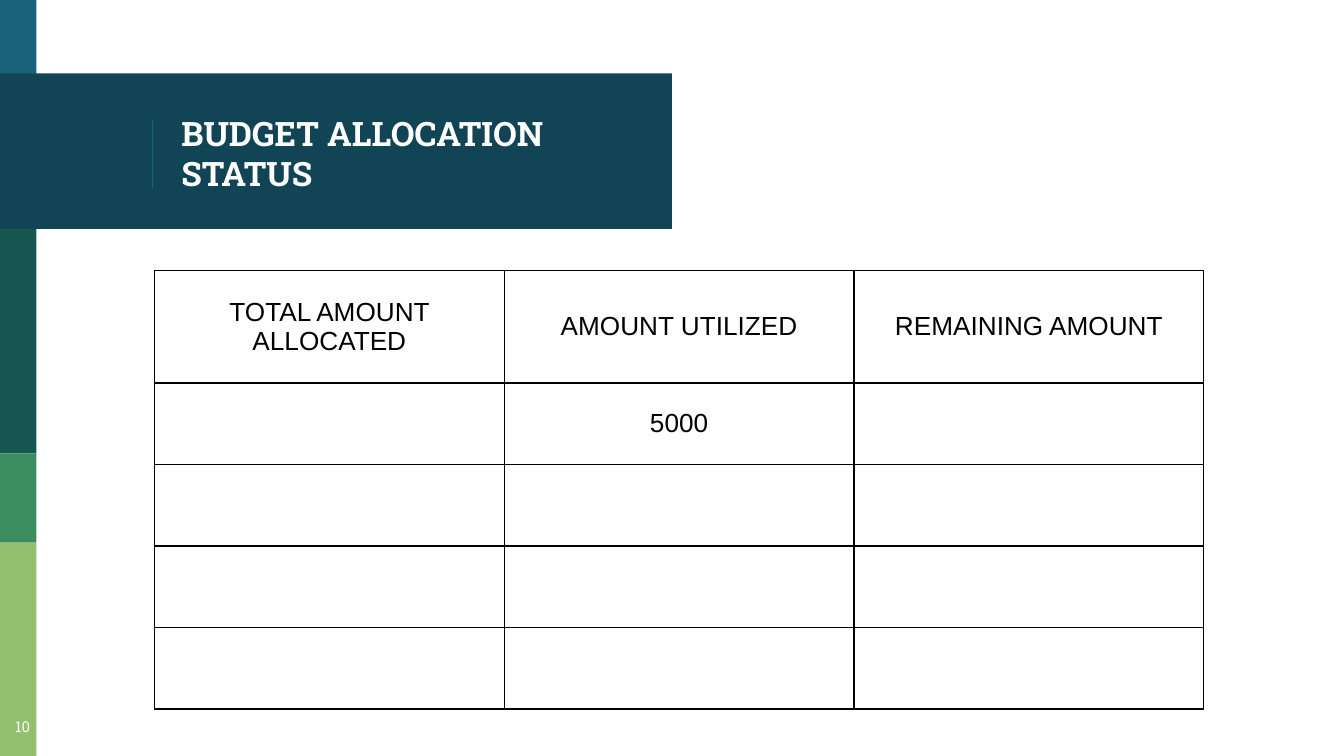
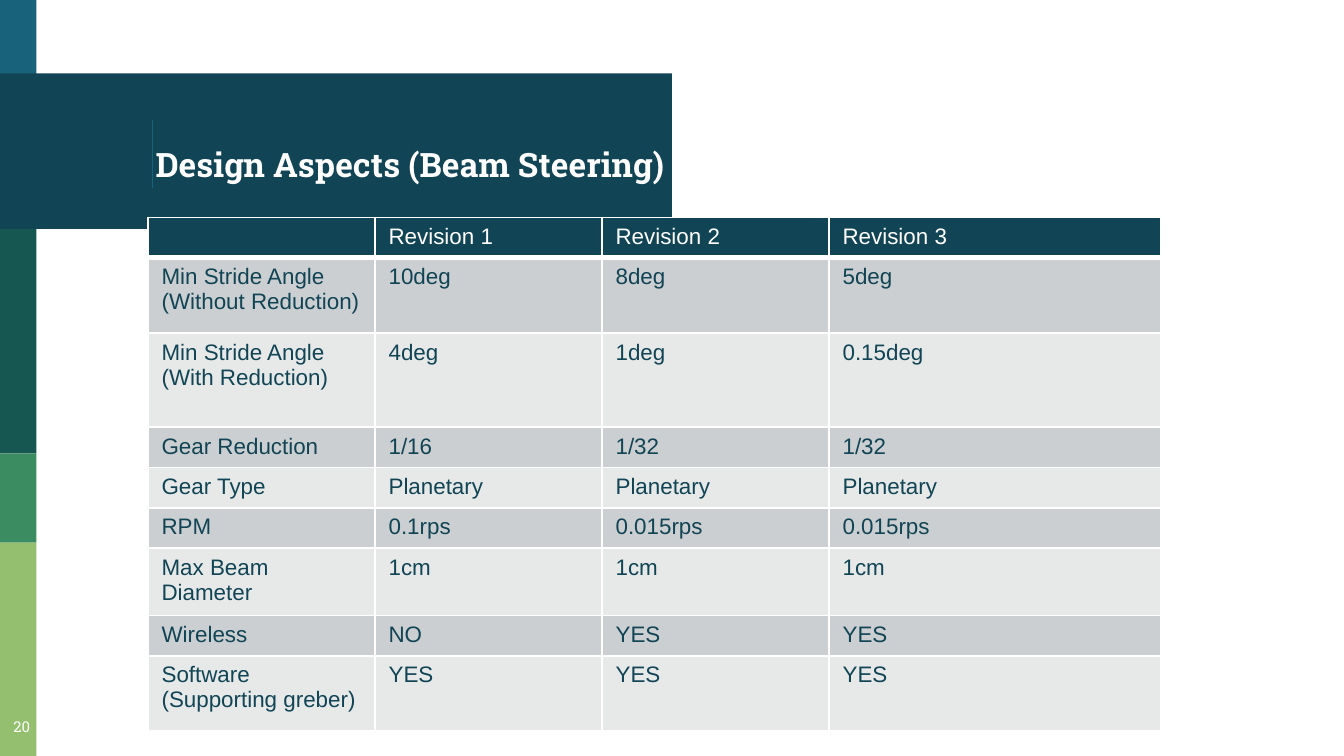
from lxml.etree import SubElement
from pptx import Presentation
from pptx.dml.color import RGBColor
from pptx.enum.shapes import MSO_CONNECTOR, MSO_SHAPE
from pptx.enum.text import MSO_ANCHOR, PP_ALIGN
from pptx.oxml.ns import qn
from pptx.util import Cm, Pt

HUES = {
    "blue": "18637B", "navy": "114454", "pine": "165751", "green": "3B8D61",
    "lime": "94BF6E", "white": "FFFFFF", "black": "000000",
    "dark": "CCCFD1", "light": "E7E9E9",
}
SLAB = "Roboto Slab"
BANDS = [
    (0, 0.69, 1.47, "blue"),
    (1.39, 12.7, 2.94, "navy"),
    (4.33, 0.69, 4.24, "pine"),
    (8.57, 0.69, 1.69, "green"),
    (10.26, 0.69, 4.03, "lime"),
]
FUNDS = [
    ["TOTAL AMOUNT ALLOCATED", "AMOUNT UTILIZED", "REMAINING AMOUNT"],
    ["", "5000", ""],
] + [[""] * 3] * 3
SPECS = [
    ["", "Revision 1", "Revision 2", "Revision 3"],
    ["Min Stride Angle (Without Reduction)", "10deg", "8deg", "5deg"],
    ["Min Stride Angle (With Reduction)", "4deg", "1deg", "0.15deg"],
    ["Gear Reduction", "1/16", "1/32", "1/32"],
    ["Gear Type"] + ["Planetary"] * 3,
    ["RPM", "0.1rps", "0.015rps", "0.015rps"],
    ["Max Beam Diameter"] + ["1cm"] * 3,
    ["Wireless", "NO", "YES", "YES"],
    ["Software (Supporting greber)"] + ["YES"] * 3,
]


def hue(name):
    return RGBColor.from_string(HUES[name])


def write(frame, text, size=12, font="Arial", color="black", bold=False,
          align=PP_ALIGN.LEFT):
    para = frame.paragraphs[0]
    para.alignment = align
    if not text:
        SubElement(para._p, qn("a:endParaRPr"), sz=str(size * 100))
        return
    run = para.add_run()
    run.text = text
    run.font.size = Pt(size)
    run.font.name = font
    run.font.bold = bold
    run.font.color.rgb = hue(color)


def edge(cell, color, width, base):
    props = cell._tc.get_or_add_tcPr()
    for side in "LRTB":
        size = base if side == "B" else width
        line = SubElement(props, qn(f"a:ln{side}"), w=str(Pt(size)))
        fill = SubElement(line, qn("a:solidFill"))
        SubElement(fill, qn("a:srgbClr"), val=HUES[color])


class Deck:
    def __init__(self):
        self.file = Presentation()
        self.file.slide_width = Cm(25.4)
        self.file.slide_height = Cm(14.29)

    def page(self, title, box, number):
        self.slide = self.file.slides.add_slide(self.file.slide_layouts[6])
        for top, width, height, color in BANDS:
            self.band(top, width, height, color)
        self.rule(2.88, 2.26, 3.55)
        self.text(title, box, anchor=MSO_ANCHOR.MIDDLE, size=18, bold=True)
        self.text(number, (-0.15, 13.39, 0.97, 0.89), size=8,
                  align=PP_ALIGN.RIGHT)

    def band(self, top, width, height, color):
        shape = self.slide.shapes.add_shape(
            MSO_SHAPE.RECTANGLE, 0, Cm(top), Cm(width), Cm(height))
        shape.shadow.inherit = False
        shape.fill.solid()
        shape.fill.fore_color.rgb = hue(color)
        shape.line.fill.background()

    def rule(self, left, top, end):
        line = self.slide.shapes.add_connector(
            MSO_CONNECTOR.STRAIGHT, Cm(left), Cm(top), Cm(left), Cm(end))
        line.line.color.rgb = hue("blue")
        line.line.width = Pt(0.75)
        SubElement(line._element.spPr, qn("a:effectLst"))

    def text(self, text, box, anchor=MSO_ANCHOR.TOP, **style):
        frame = self.slide.shapes.add_textbox(*map(Cm, box)).text_frame
        frame.word_wrap = True
        frame.vertical_anchor = anchor
        frame.margin_left = frame.margin_right = Cm(0.25)
        frame.margin_top = frame.margin_bottom = Cm(0.25)
        write(frame, text, font=SLAB, color="white", **style)

    def table(self, data, left, top, cols, rows, paint):
        shape = self.slide.shapes.add_table(
            len(rows), len(cols), Cm(left), Cm(top),
            Cm(sum(cols)), Cm(sum(rows)))
        grid = shape.table
        grid.first_row = grid.horz_banding = False
        for col, width in zip(grid.columns, cols):
            col.width = Cm(width)
        for row, height in zip(grid.rows, rows):
            row.height = Cm(height)
        for i, line in enumerate(data):
            for j, text in enumerate(line):
                paint(grid.cell(i, j), text, i)


def plain(cell, text, row):
    edge(cell, "black", 0.75, 0.75)
    cell.fill.background()
    cell.vertical_anchor = MSO_ANCHOR.MIDDLE
    write(cell.text_frame, text, size=14, align=PP_ALIGN.CENTER)


def banded(cell, text, row):
    head = row == 0
    edge(cell, "white", 1, 3 if head else 1)
    cell.fill.solid()
    cell.fill.fore_color.rgb = hue(
        "navy" if head else "dark" if row % 2 else "light")
    write(cell.text_frame, text, color="white" if head else "navy")


def main():
    deck = Deck()
    deck.page("BUDGET ALLOCATION STATUS", (3.18, 1.47, 8.92, 2.84), "10")
    deck.table(FUNDS, 2.92, 5.11, [6.61] * 3, [2.13] + [1.54] * 4, plain)

    deck.page("Design Aspects (Beam Steering)", (2.69, 2.49, 11.79, 1.22), "20")
    low, mid, tall = 0.66, 1.02, 1.42
    deck.table(SPECS, 2.8, 4.11, [4.29] * 3 + [6.27],
               [low, tall, 1.78, low, low, low, mid, low, tall], banded)
    deck.file.save("out.pptx")


if __name__ == "__main__":
    main()
